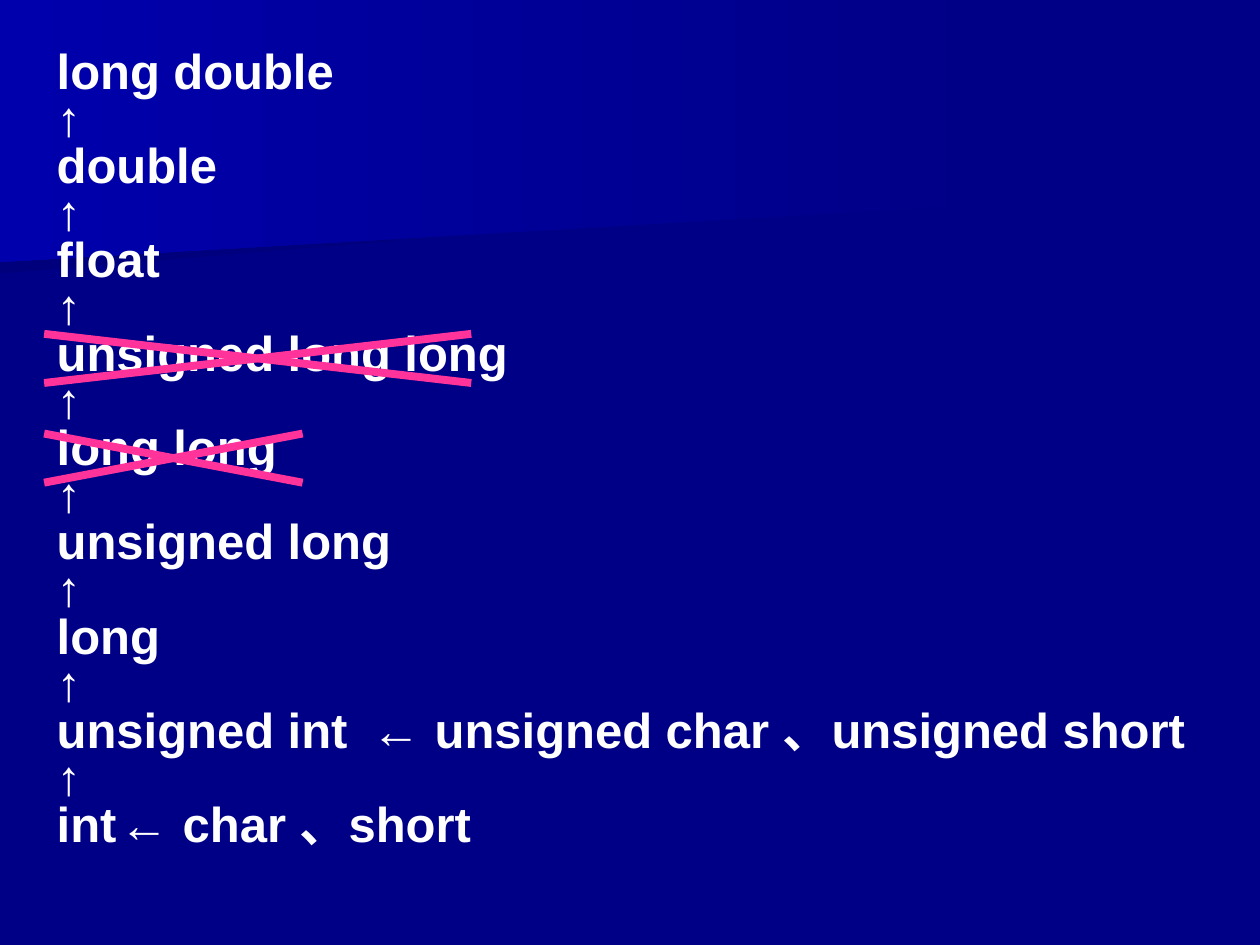
from typing import NamedTuple
from lxml.etree import SubElement as Sub
from pptx import Presentation
from pptx.dml.color import RGBColor as Rgb
from pptx.enum.shapes import MSO_CONNECTOR as Link
from pptx.enum.text import MSO_AUTO_SIZE as Auto, PP_ALIGN as Align
from pptx.oxml.ns import qn
from pptx.util import Cm, Pt

HUES = {"back": "000086", "dark": "00007D", "glow": "0000AC",
        "text": "FFFFFF", "cross": "FF3399"}


class Band(NamedTuple):
    hue: str
    points: list


class Row(NamedTuple):
    text: str
    tabs: tuple = ()


class Cross(NamedTuple):
    top: float
    right: float


LEFT, TALL = 0.89, 0.99
BANDS = [
    Band("dark", [(19.76, 3.89), (0, 5.51), (0, 2.57), (19.79, 2.57), (19.76, 3.25)]),
    Band("glow", [(20.12, 4.11), (0, 5.28), (0, 0), (20.12, 0)]),
]
TYPES = [
    Row("long double"),
    Row("double"),
    Row("float"),
    Row("unsigned long long"),
    Row("long long"),
    Row("unsigned long"),
    Row("long"),
    Row("unsigned int\t←\tunsigned char 、unsigned short", (6.4, 8.17)),
    Row("int\t←\tchar 、short", (2, 4.08)),
]
CROSSES = [Cross(6.73, 9.5), Cross(8.74, 6.1)]


def color(name: str) -> Rgb:
    return Rgb.from_string(HUES[name])


def draw_band(slide, band: Band) -> None:
    first, *rest = [(Cm(x), Cm(y)) for x, y in band.points]
    pen = slide.shapes.build_freeform(*first)
    pen.add_line_segments(rest, close=True)
    shape = pen.convert_to_shape()
    shape.shadow.inherit = False
    shape.line.fill.background()
    shape.fill.gradient()
    shape.fill.gradient_angle = 180
    for stop, hue, place in zip(shape.fill.gradient_stops, ("back", band.hue), (0, 1)):
        stop.color.rgb = color(hue)
        stop.position = place


def set_row(para, row: Row) -> None:
    para.text = row.text
    props = para._p.get_or_add_pPr()
    props.set("marL", "0")
    props.set("indent", "0")
    Sub(props, qn("a:buNone"))
    if row.tabs:
        tabs = Sub(props, qn("a:tabLst"))
        for pos in row.tabs:
            Sub(tabs, qn("a:tab"), pos=str(Cm(pos)), algn="l")
    para.alignment = Align.JUSTIFY
    para.line_spacing = 0.8
    para.space_before = para.space_after = Pt(0)
    for run in para.runs:
        font = run.font
        font.name, font.size, font.bold = "Arial", Pt(28), True
        font.color.rgb = color("text")


def fill_list(body, rows: list) -> None:
    body.left, body.top = Cm(LEFT), Cm(0.91)
    body.width, body.height = Cm(24.51), Cm(16.38)
    frame = body.text_frame
    frame.word_wrap = True
    frame.auto_size = Auto.SHAPE_TO_FIT_TEXT
    for i, row in enumerate(rows):
        if i:
            set_row(frame.add_paragraph(), Row("↑"))
        set_row(frame.add_paragraph() if i else frame.paragraphs[0], row)


def draw_cross(slide, cross: Cross) -> None:
    low = cross.top + TALL
    for start, end in ((LEFT, cross.right), (cross.right, LEFT)):
        line = slide.shapes.add_connector(
            Link.STRAIGHT, Cm(start), Cm(cross.top), Cm(end), Cm(low))
        line.line.color.rgb = color("cross")
        line.line.width = Pt(4.5)
        Sub(line._element.spPr, qn("a:effectLst"))


def main() -> None:
    deck = Presentation()
    deck.slide_width, deck.slide_height = Cm(25.4), Cm(19.05)
    slide = deck.slides.add_slide(deck.slide_layouts[1])
    back = slide.background.fill
    back.solid()
    back.fore_color.rgb = color("back")
    title, body = slide.placeholders
    tree = title._element.getparent()
    tree.remove(title._element)
    for band in BANDS:
        draw_band(slide, band)
    tree.append(body._element)
    fill_list(body, TYPES)
    for cross in CROSSES:
        draw_cross(slide, cross)
    deck.save("out.pptx")


if __name__ == "__main__":
    main()
